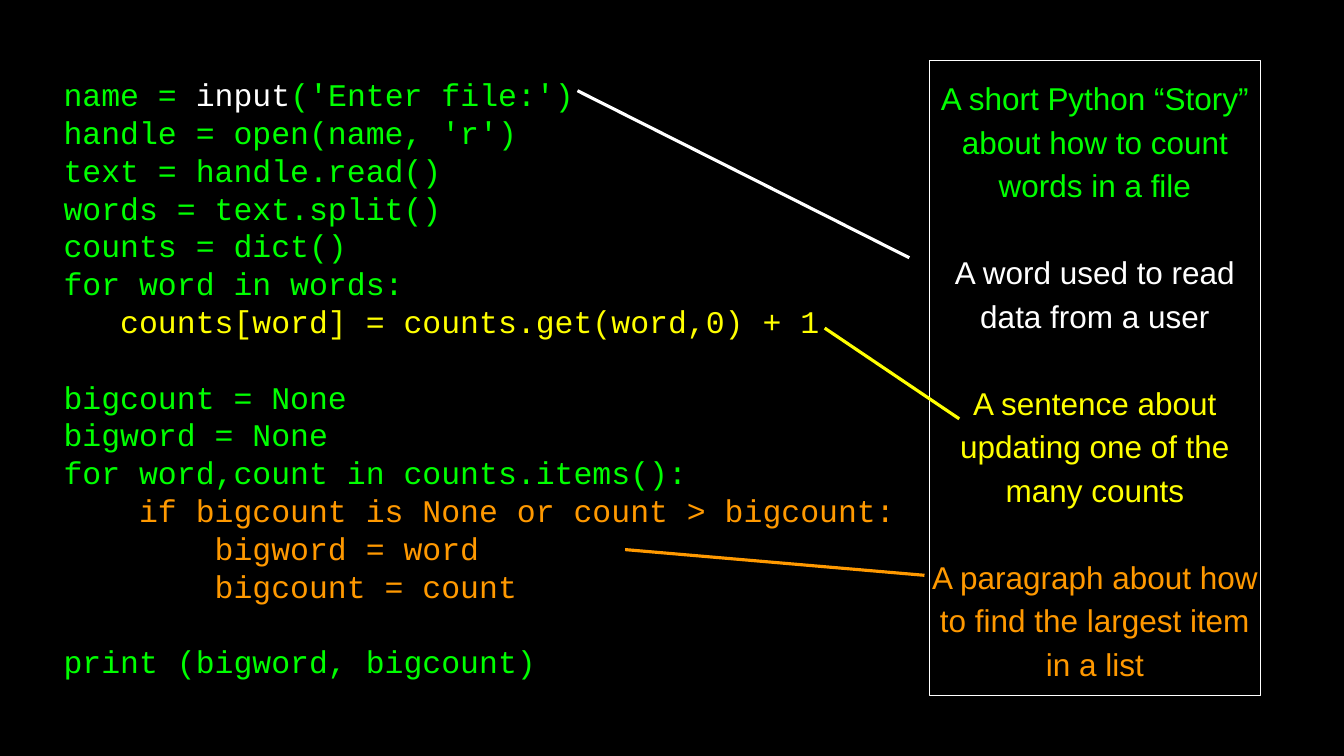
import pptx
import pptx.util
import pptx.dml.color
import pptx.enum.shapes
import pptx.enum.text
import pptx.oxml.ns
import lxml.etree

Inches = pptx.util.Inches
Pt = pptx.util.Pt
RGB = pptx.dml.color.RGBColor
ALIGN = pptx.enum.text.PP_ALIGN

BLACK = RGB(0x00, 0x00, 0x00)
WHITE = RGB(0xFF, 0xFF, 0xFF)
GREEN = RGB(0x00, 0xFF, 0x00)
YELLOW = RGB(0xFF, 0xFF, 0x00)
ORANGE = RGB(0xFF, 0x99, 0x00)

CODE = [
    [
        [("name = ", GREEN), ("input", WHITE), ("('Enter file:')", GREEN)],
        [("handle = open(name, 'r')", GREEN)],
        [("text = handle.read()", GREEN)],
        [("words = text.split()", GREEN)],
        [("counts = dict()", GREEN)],
        [("for word in words:", GREEN)],
        [("   counts[word] = counts.get(word,0) + 1", YELLOW)],
    ],
    [
        [("bigcount = None", GREEN)],
        [("bigword = None", GREEN)],
        [("for word,count in counts.items():", GREEN)],
        [("    if bigcount is None or count > bigcount:", ORANGE)],
        [("        bigword = word", ORANGE)],
        [("        bigcount = count", ORANGE)],
    ],
    [
        [("print (bigword, bigcount)", GREEN)],
    ],
]

NOTES = [
    [[("A short Python “Story” about how to count words in a file", GREEN)]],
    [[("A word used to read data from a user", WHITE)]],
    [[("A sentence about updating one of the many counts", YELLOW)]],
    [[("A paragraph about how to find the largest item in a list", ORANGE)]],
]

LINKS = [
    ((7.64, 1.2), (12.03, 3.41), WHITE),
    ((10.91, 4.34), (12.69, 5.54), YELLOW),
    ((8.27, 7.27), (12.23, 7.61), ORANGE),
]


def write(frame, groups, font, pitch, size=30, align=ALIGN.LEFT):
    frame.word_wrap = True
    frame.vertical_anchor = pptx.enum.text.MSO_ANCHOR.MIDDLE
    frame.margin_left = frame.margin_right = 0
    frame.margin_top = frame.margin_bottom = 0
    para = None
    for group in groups:
        for place, line in enumerate(group):
            first = para is None
            para = frame.paragraphs[0] if first else frame.add_paragraph()
            para.alignment = align
            para.line_spacing = Pt(pitch)
            para.space_before = Pt(0 if first or place else pitch)
            for text, color in line:
                run = para.add_run()
                run.text = text
                run.font.name = font
                run.font.size = Pt(size)
                run.font.color.rgb = color


def add_code(slide, left, top, width, height):
    box = slide.shapes.add_textbox(left, top, width, height)
    write(box.text_frame, CODE, font="Courier New", pitch=36)


def add_notes(slide, left, top, width, height):
    kind = pptx.enum.shapes.MSO_SHAPE.RECTANGLE
    box = slide.shapes.add_shape(kind, left, top, width, height)
    box.shadow.inherit = False
    box.fill.background()
    box.line.color.rgb = WHITE
    box.line.width = Pt(0.75)
    write(box.text_frame, NOTES, font="Arial", pitch=41.4, align=ALIGN.CENTER)


def add_link(slide, start, end, color):
    kind = pptx.enum.shapes.MSO_CONNECTOR.STRAIGHT
    ends = [Inches(value) for value in start + end]
    link = slide.shapes.add_connector(kind, *ends)
    link.line.color.rgb = color
    link.line.width = Pt(3)
    props = link._element.spPr
    lxml.etree.SubElement(props, pptx.oxml.ns.qn("a:effectLst"))


def main():
    deck = pptx.Presentation()
    deck.slide_width = Inches(17.78)
    deck.slide_height = Inches(10)
    slide = deck.slides.add_slide(deck.slide_layouts[6])
    slide.background.fill.solid()
    slide.background.fill.fore_color.rgb = BLACK
    add_code(slide, Inches(0.84), Inches(0.15), Inches(11.39), Inches(9.69))
    add_notes(slide, Inches(12.3), Inches(0.8), Inches(4.37), Inches(8.4))
    for start, end, color in LINKS:
        add_link(slide, start, end, color)
    deck.save("out.pptx")


if __name__ == "__main__":
    main()
